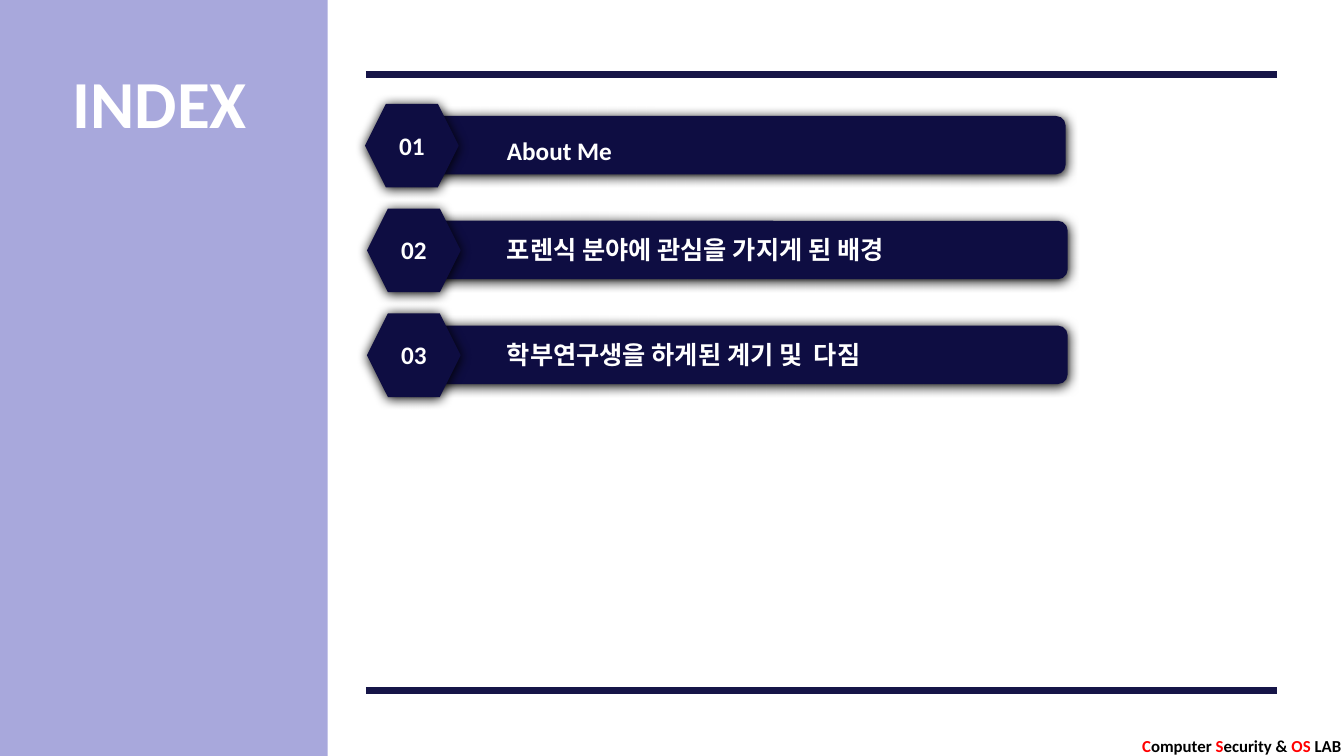
from dataclasses import dataclass

from lxml import etree
from pptx import Presentation
from pptx.dml.color import RGBColor
from pptx.enum import shapes, text
from pptx.oxml import ns, parse_xml
from pptx.util import Inches, Pt

NAVY, RULE, WHITE, RED, BLACK = "0E0D42", "161548", "FFFFFF", "FF0000", "000000"
FONT = "Calibri"
ROW_STEP = 1.04


@dataclass
class Entry:
    number: str
    title: str
    left: float
    number_top: float
    title_top: float
    title_width: float


ENTRIES = [
    Entry("01", "About Me", 3.62, 1.24, 1.29, 1.25),
    Entry("02", "포렌식 분야에 관심을 가지게 된 배경", 3.64, 2.28, 2.28, 4.34),
    Entry("03", "학부연구생을 하게된 계기 및  다짐", 3.64, 3.32, 3.32, 4.03),
]
LAB_NAME = [("C", RED), ("omputer ", BLACK), ("S", RED), ("ecurity & ", BLACK),
            ("OS ", RED), ("LAB", BLACK)]


def paint(target, color: str) -> None:
    """Give a fill or a line format one solid colour."""
    fill = getattr(target, "fill", target)
    fill.solid()
    fill.fore_color.rgb = RGBColor.from_string(color)


def add_block(slide, kind, left: float, top: float, width: float, height: float, color: str):
    shape = slide.shapes.add_shape(kind, Inches(left), Inches(top), Inches(width), Inches(height))
    shape.shadow.inherit = False
    paint(shape.fill, color)
    shape.line.fill.background()
    return shape


def add_soft_shadow(shape) -> None:
    effects = shape._element.spPr.find(ns.qn("a:effectLst"))
    effects.append(parse_xml(
        f'<a:outerShdw {ns.nsdecls("a")} blurRad="{Pt(8.5)}" dist="{Pt(1)}" dir="5400000" '
        'algn="t" rotWithShape="0"><a:srgbClr val="000000"/></a:outerShdw>'))


def write(shape, runs: list[tuple[str, str]], size: float) -> None:
    """Fill a shape with one bold line of coloured runs."""
    frame = shape.text_frame
    frame.word_wrap = False
    frame.auto_size = text.MSO_AUTO_SIZE.NONE
    frame.vertical_anchor = text.MSO_ANCHOR.TOP
    paragraph = frame.paragraphs[0]
    paragraph.alignment = text.PP_ALIGN.LEFT
    paragraph.font.name, paragraph.font.size, paragraph.font.bold = FONT, Pt(size), True
    for words, color in runs:
        run = paragraph.add_run()
        run.text = words
        paint(run.font, color)


def add_label(slide, runs: list[tuple[str, str]], size: float,
              left: float, top: float, width: float, height: float) -> None:
    box = slide.shapes.add_textbox(Inches(left), Inches(top), Inches(width), Inches(height))
    write(box, runs, size)


def add_rule(slide, y: float) -> None:
    rule = slide.shapes.add_connector(
        shapes.MSO_CONNECTOR.STRAIGHT, Inches(3.63), Inches(y), Inches(12.67), Inches(y))
    paint(rule.line, RULE)
    rule.line.width = Pt(4.5)
    etree.SubElement(rule._element.spPr, ns.qn("a:effectLst"))


def add_sidebar(slide) -> None:
    sidebar = add_block(slide, shapes.MSO_SHAPE.RECTANGLE, 0, 0, 3.25, 7.5, "000099")
    color = sidebar._element.spPr.find(ns.qn("a:solidFill"))[0]
    etree.SubElement(color, ns.qn("a:alpha"), val="34000")


def add_title(slide) -> None:
    title = slide.shapes.title
    title.left, title.top = Inches(0.62), Inches(0.56)
    title.width, title.height = Inches(1.95), Inches(0.91)
    write(title, [("INDEX", WHITE)], 48)
    slide.shapes._spTree.append(title._element)  # in front of the sidebar


def add_entry(slide, entry: Entry, row: int) -> None:
    offset = row * ROW_STEP
    bar = add_block(slide, shapes.MSO_SHAPE.ROUNDED_RECTANGLE,
                    entry.left + 0.39, 1.15 + offset, 6.56, 0.58, NAVY)
    bar.adjustments[0] = 0.167
    badge = add_block(slide, shapes.MSO_SHAPE.HEXAGON,
                      entry.left, 1.03 + offset, 0.93, 0.83, NAVY)
    badge.adjustments[0] = 0.25
    for shape in (bar, badge):
        add_soft_shadow(shape)
    add_label(slide, [(entry.number, WHITE)], 18, entry.left + 0.24, entry.number_top, 0.46, 0.4)
    add_label(slide, [(entry.title, WHITE)], 18, 4.93, entry.title_top, entry.title_width, 0.4)


def main() -> None:
    presentation = Presentation()
    presentation.slide_width, presentation.slide_height = Inches(13.33), Inches(7.5)
    slide = presentation.slides.add_slide(presentation.slide_layouts.get_by_name("Title Only"))
    add_sidebar(slide)
    add_label(slide, LAB_NAME, 12, 11.23, 7.25, 2.2, 0.3)
    add_title(slide)
    for y in (0.74, 6.85):
        add_rule(slide, y)
    for row, entry in enumerate(ENTRIES):
        add_entry(slide, entry, row)
    presentation.save("out.pptx")


if __name__ == "__main__":
    main()
